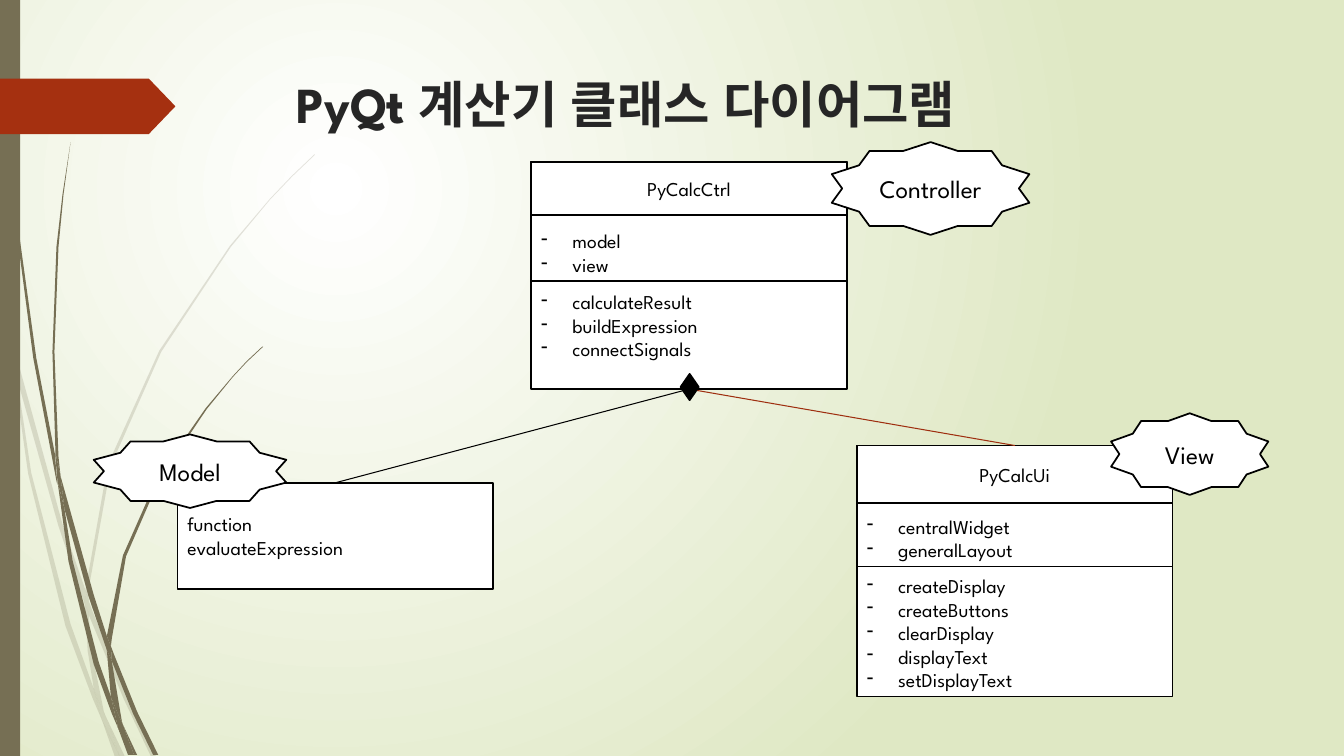
from dataclasses import dataclass

from pptx import Presentation, util as u
from pptx.dml.color import RGBColor
from pptx.enum import shapes, text
from pptx.oxml import parse_xml
from pptx.oxml.ns import nsdecls, qn
from pptx.oxml.xmlchemy import OxmlElement

FONT = "League Spartan"
BLACK, WHITE, OLIVE, RUST = "000000", "FFFFFF", "766F54", "A53010"
KIND = shapes.MSO_SHAPE
ANCHOR = text.MSO_ANCHOR
ALIGN = text.PP_ALIGN
BOX_WIDTH = 3.13


@dataclass
class ClassBox:
    """A class with its name, attribute and method compartments."""
    left: float
    top: float
    height: float
    name: str
    name_height: float
    attributes: list[str]
    attributes_height: float
    methods: list[str]
    bottom_inset: float = 0.05


@dataclass
class Role:
    """A star label that names the role of a class."""
    label: str
    left: float
    top: float
    width: float
    height: float


# Outlines of the grass blade segments, as (x, y) in inches
PALE_GRASS = [
    [(.11, 3.5), (.09, 3.22), (0, 2.82), (0, 2.99), (.1, 3.44)],
    [(.58, 5.22), (.84, 5.99), (.85, 5.86), (.62, 5.2), (.14, 3.45), (.17, 3.76)],
    [(.92, 6.07), (.88, 5.96), (.88, 6.1), (1.23, 6.94), (1.5, 7.51), (1.55, 7.51), (1.27, 6.92)],
    [(1.19, 7.51), (1.24, 7.51), (1.05, 7.11)],
    [(.93, 6.83), (.7, 6.19), (.31, 4.69), (.17, 3.76), (.11, 3.5), (.28, 4.7), (.65, 6.21),
     (.92, 6.93), (1.01, 7.14), (.99, 7.07)],
    [(.84, 5.99), (.87, 6.46), (.93, 6.83), (.96, 6.92), (1.05, 7.11), (1.03, 7.06), (.91, 6.46),
     (.88, 6.1), (.88, 6.08)],
    [(.88, 5.84), (1.1, 4.62), (1.6, 3.49), (2.29, 2.45), (2.68, 1.98), (2.9, 1.75), (3.12, 1.54),
     (3.12, 1.53), (2.89, 1.75), (2.68, 1.97), (2.28, 2.44), (1.58, 3.48), (1.07, 4.61),
     (.85, 5.84), (.85, 5.86), (.88, 5.96)],
    [(1.01, 7.14), (1.14, 7.51), (1.19, 7.51)],
    [(.88, 6.08), (.88, 6.1), (.88, 5.96), (.85, 5.86), (.84, 5.99)],
    [(.96, 6.92), (.93, 6.83), (.99, 7.07), (1.01, 7.14), (1.19, 7.51), (1.05, 7.11)],
]
DARK_GRASS = [
    [(.07, 1.1), (.17, 2.33), (.33, 3.55), (.56, 4.77), (.57, 4.81), (.55, 4.57), (.55, 4.53),
     (.36, 3.55), (.19, 2.32), (.08, 1.09), (.05, .48), (.04, 0), (.03, 0), (.04, .48)],
    [(.88, 5.92), (1.06, 6.45), (1.06, 6.31), (.93, 5.9), (.6, 4.72), (.64, 5.05)],
    [(1.13, 6.49), (1.1, 6.41), (1.11, 6.56), (1.32, 7.08), (1.52, 7.49), (1.57, 7.49),
     (1.36, 7.06)],
    [(1.1, 6.91), (.98, 6.57), (.72, 5.56), (.64, 5.05), (.57, 4.77), (.68, 5.57), (.93, 6.59),
     (1.11, 7.08), (1.17, 7.22), (1.16, 7.17)],
    [(.6, 4.72), (.58, 4.53), (.54, 3.49), (.58, 2.45), (.63, 1.93), (.7, 1.41), (.62, 1.93),
     (.56, 2.45), (.52, 3.49), (.55, 4.49)],
    [(1.33, 7.49), (1.36, 7.49), (1.22, 7.19)],
    [(.57, 4.77), (.64, 5.05), (.6, 4.72), (.55, 4.49), (.55, 4.53)],
    [(1.11, 6.33), (1.25, 5.52), (1.58, 4.76), (2.05, 4.06), (2.31, 3.74), (2.45, 3.59),
     (2.61, 3.44), (2.6, 3.44), (2.45, 3.58), (2.31, 3.73), (2.04, 4.05), (1.56, 4.74),
     (1.22, 5.51), (1.06, 6.31), (1.1, 6.41)],
    [(1.17, 7.22), (1.27, 7.49), (1.31, 7.49)],
    [(1.06, 6.45), (1.1, 6.91), (1.16, 7.06), (1.22, 7.19), (1.21, 7.16), (1.11, 6.56),
     (1.09, 6.51)],
    [(1.06, 6.45), (1.09, 6.51), (1.11, 6.56), (1.1, 6.41), (1.06, 6.31)],
    [(1.16, 7.06), (1.1, 6.91), (1.16, 7.17), (1.17, 7.22), (1.3, 7.49), (1.33, 7.49),
     (1.22, 7.19)],
]
CONTROLLER = ClassBox(5.27, 1.61, 2.25, "PyCalcCtrl", .52, ["model", "view"], .66,
                      ["calculateResult", "buildExpression", "connectSignals"], .28)
VIEW = ClassBox(8.5, 4.42, 2.49, "PyCalcUi", .57, ["centralWidget", "generalLayout"], .63,
                ["createDisplay", "createButtons", "clearDisplay", "displayText",
                 "setDisplayText"])
ROLES = [Role("Controller", 8.25, 1.41, 1.96, .92), Role("Model", .93, 4.31, 1.91, .73),
         Role("View", 11.02, 4.1, 1.56, .81)]


def rgb(value: str) -> RGBColor:
    """Turn a hex string into a colour."""
    return RGBColor.from_string(value)


def child(parent, tag: str, **attributes: str) -> None:
    """Append an XML element with its attributes."""
    element = OxmlElement(tag)
    for key, value in attributes.items():
        element.set(key, value)
    parent.append(element)


def paint(sp, fill: str, line: str | None = None) -> None:
    """Set fill and outline, and drop the shadow."""
    sp.shadow.inherit = False
    sp.fill.solid()
    sp.fill.fore_color.rgb = rgb(fill)
    if line:
        sp.line.color.rgb = rgb(line)
        sp.line.width = u.Pt(1.25)
    else:
        sp.line.fill.background()


def add_shape(s, kind, left: float, top: float, width: float, height: float,
              fill: str = WHITE, line: str | None = BLACK):
    """Add a painted preset shape."""
    sp = s.shapes.add_shape(kind, *map(u.Inches, (left, top, width, height)))
    paint(sp, fill, line)
    return sp


def write(sp, lines: list[str], size: int = 14, color: str = BLACK, bold: bool = False,
          align=ALIGN.LEFT, anchor=ANCHOR.MIDDLE, bullets: bool = False,
          bottom: float = .05) -> None:
    """Fill a shape with formatted paragraphs."""
    tf = sp.text_frame
    frame = {"word_wrap": True, "vertical_anchor": anchor, "margin_left": u.Inches(.1),
             "margin_right": u.Inches(.1), "margin_top": u.Inches(.05),
             "margin_bottom": u.Inches(bottom)}
    for key, value in frame.items():
        setattr(tf, key, value)
    for i, line in enumerate(lines):
        p = tf.paragraphs[0] if i == 0 else tf.add_paragraph()
        p.alignment = align
        r = p.add_run()
        r.text = line
        for key, value in {"name": FONT, "size": u.Pt(size), "bold": bold}.items():
            setattr(r.font, key, value)
        r.font.color.rgb = rgb(color)
        child(r._r.get_or_add_rPr(), "a:ea", typeface=FONT)
        if bullets:
            pr = p._p.get_or_add_pPr()
            pr.set("marL", str(u.Inches(.31)))
            pr.set("indent", str(-u.Inches(.31)))
            child(pr, "a:buFontTx")
            child(pr, "a:buChar", char="-")


def add_blade(s, outline: list[tuple[float, float]], alpha: int) -> None:
    """Draw one grass blade segment."""
    points = [(u.Inches(x), u.Inches(y)) for x, y in outline]
    fb = s.shapes.build_freeform(*points[0])
    fb.add_line_segments(points[1:], close=True)
    sp = fb.convert_to_shape()
    paint(sp, OLIVE)
    if alpha < 100:
        child(sp._element.spPr.find(qn("a:solidFill"))[0], "a:alpha", val=str(alpha * 1000))


def add_class(s, box: ClassBox):
    """Draw a class and return its outer rectangle."""
    outer = add_shape(s, KIND.RECTANGLE, box.left, box.top, BOX_WIDTH, box.height)
    write(outer, box.methods, anchor=ANCHOR.BOTTOM, bullets=True, bottom=box.bottom_inset)
    name = add_shape(s, KIND.RECTANGLE, box.left, box.top, BOX_WIDTH, box.name_height)
    write(name, [box.name], align=ALIGN.CENTER)
    attributes = add_shape(s, KIND.RECTANGLE, box.left, box.top + box.name_height,
                           BOX_WIDTH, box.attributes_height)
    write(attributes, box.attributes, anchor=ANCHOR.BOTTOM, bullets=True)
    return outer


def add_link(s, part, whole, color: str) -> None:
    """Join the top of a part to the bottom of its whole."""
    line = s.shapes.add_connector(shapes.MSO_CONNECTOR.STRAIGHT, 0, 0, 0, 0)
    line.begin_connect(part, 0)
    line.end_connect(whole, 2)
    line.line.color.rgb = rgb(color)
    line.line.width = u.Pt(.75)
    child(line._element.spPr, "a:effectLst")


def set_background(s) -> None:
    """Give the slide a radial glow in its upper left."""
    stops = "".join(f'<a:gs pos="{pos}"><a:srgbClr val="{color}"/></a:gs>'
                    for pos, color in ((0, WHITE), (100000, "DFE8C4")))
    s._element.cSld.insert(0, parse_xml(
        f'<p:bg {nsdecls("p", "a")}><p:bgPr><a:gradFill><a:gsLst>{stops}</a:gsLst>'
        '<a:path path="circle"><a:fillToRect l="50000" t="50000" r="100000" b="100000"/>'
        '</a:path></a:gradFill><a:effectLst/></p:bgPr></p:bg>'))


prs = Presentation()
prs.slide_width, prs.slide_height = u.Inches(13.33), u.Inches(7.5)
s = prs.slides.add_slide(prs.slide_layouts[5])
set_background(s)
for grass, alpha in ((PALE_GRASS, 20), (DARK_GRASS, 100)):
    for outline in grass:
        add_blade(s, outline, alpha)
add_shape(s, KIND.RECTANGLE, 0, 0, .2, 7.5, OLIVE, None)
tag = add_shape(s, KIND.PENTAGON, 0, .78, 1.74, .55, RUST, None)
tag.adjustments[0] = .48

title = s.shapes.title
for key, value in {"left": 2.84, "top": .68, "width": 9.75, "height": 1.4}.items():
    setattr(title, key, u.Inches(value))
write(title, ["PyQt 계산기 클래스 다이어그램"], 36, "262626", True, anchor=ANCHOR.TOP)
s.shapes._spTree.append(title._element)

model = add_shape(s, KIND.RECTANGLE, 1.76, 4.79, BOX_WIDTH, 1.05)
write(model, ["function", "evaluateExpression"])
controller, view = (add_class(s, box) for box in (CONTROLLER, VIEW))
add_link(s, model, controller, BLACK)
add_link(s, view, controller, "9E2E0F")
add_shape(s, KIND.DIAMOND, 6.75, 3.71, .18, .26, BLACK)
for role in ROLES:
    star = add_shape(s, KIND.STAR_10_POINT, role.left, role.top, role.width, role.height)
    write(star, [role.label], 18, align=ALIGN.CENTER)
prs.save("out.pptx")
